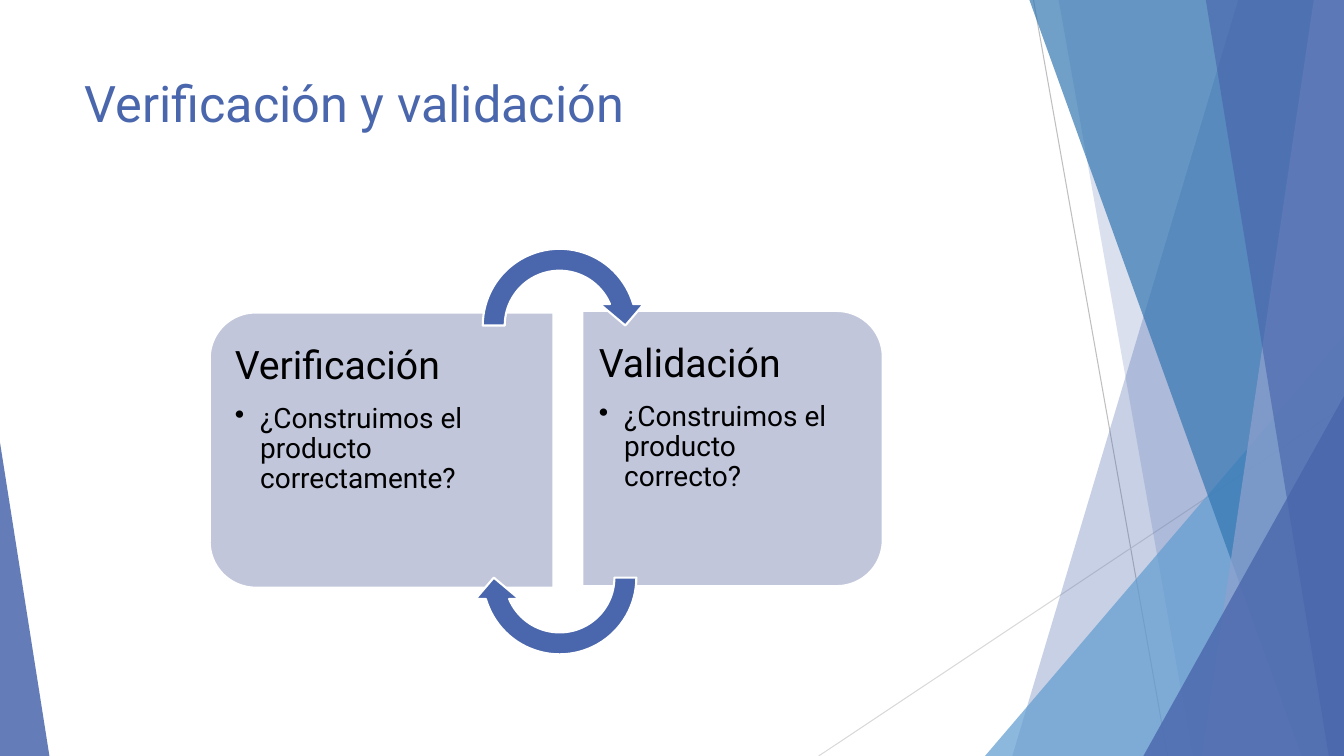
from lxml.etree import SubElement
from pptx import Presentation
from pptx.dml.color import RGBColor
from pptx.enum.shapes import MSO_CONNECTOR as Connector, MSO_SHAPE as Preset
from pptx.enum.text import MSO_ANCHOR as Anchor, PP_ALIGN as Align
from pptx.oxml.ns import qn
from pptx.util import Inches, Pt

COLORS = {
    "blue": "4A66AC",
    "sky": "629DD1",
    "deep": "3477B2",
    "pale": "90A2CF",
    "panel": "C1C6DB",
    "white": "FFFFFF",
    "black": "000000",
    "gray": "BFBFBF",
    "light_gray": "D9D9D9",
}
WIDTH, HEIGHT = 13.33, 7.5


def color(name):
    return RGBColor.from_string(COLORS[name])


def write_text(paragraph, text, font="Roboto", size=20, fill="black",
               line_spacing=None, space_after=0, bullet=False):
    paragraph.alignment = Align.LEFT
    paragraph.space_after = Pt(space_after)
    if line_spacing:
        paragraph.line_spacing = line_spacing
    run = paragraph.add_run()
    run.text = text
    run.font.name = font
    run.font.size = Pt(size)
    run.font.color.rgb = color(fill)
    if bullet:
        properties = paragraph._p.get_or_add_pPr()
        properties.set("marL", str(Inches(0.25)))
        properties.set("indent", str(Inches(-0.25)))
        SubElement(properties, qn("a:buChar")).set("char", "•")


class SlideBuilder:
    def __init__(self, slide):
        self.slide = slide
        self.shapes = slide.shapes

    def paint(self, shape, fill, opacity=100, outline=None):
        shape.shadow.inherit = False
        shape.fill.solid()
        shape.fill.fore_color.rgb = color(fill)
        if opacity < 100:
            rgb = shape._element.spPr.find(qn("a:solidFill"))[0]
            SubElement(rgb, qn("a:alpha")).set("val", str(opacity * 1000))
        if outline:
            shape.line.color.rgb = color(outline)
            shape.line.width = Pt(1.5)
        else:
            shape.line.fill.background()

    def line(self, start, end, stroke):
        connector = self.shapes.add_connector(
            Connector.STRAIGHT, *map(Inches, start + end))
        connector.line.color.rgb = color(stroke)
        connector.line.width = Pt(0.75)
        SubElement(connector._element.spPr, qn("a:effectLst"))

    def band(self, top_left, bottom_left, fill, opacity):
        corners = [(top_left, 0), (WIDTH, 0), (WIDTH, HEIGHT), (bottom_left, HEIGHT)]
        points = [(Inches(x), Inches(y)) for x, y in corners]
        builder = self.shapes.build_freeform(*points[0])
        builder.add_line_segments(points[1:], close=True)
        self.paint(builder.convert_to_shape(), fill, opacity)

    def preset(self, kind, box, adjustments, fill, opacity=100, outline=None, rotation=0):
        shape = self.shapes.add_shape(kind, *map(Inches, box))
        for index, value in enumerate(adjustments):
            shape.adjustments[index] = value
        shape.rotation = rotation
        self.paint(shape, fill, opacity, outline)

    def text_box(self, box, margins=(0.1, 0.05, 0.1, 0.05)):
        frame = self.shapes.add_textbox(*map(Inches, box)).text_frame
        frame.word_wrap = True
        frame.vertical_anchor = Anchor.TOP
        (frame.margin_left, frame.margin_top,
         frame.margin_right, frame.margin_bottom) = map(Inches, margins)
        return frame

    def panel(self, box, rotation, text_area, margins, heading, question):
        self.preset(Preset.ROUND_2_SAME_RECTANGLE, box, (0.167, 0), "panel",
                    outline="white", rotation=rotation)
        frame = self.text_box(text_area, margins)
        write_text(frame.paragraphs[0], heading, size=28,
                   line_spacing=0.9, space_after=11.5)
        write_text(frame.add_paragraph(), question,
                   line_spacing=0.9, space_after=3.5, bullet=True)

    def backdrop(self):
        self.line((10.25, 0), (11.58, HEIGHT), "gray")
        self.line((WIDTH, 4.03), (8.12, HEIGHT), "light_gray")
        self.band(12.28, 10.04, "blue", 30)
        self.band(10.5, 11.83, "blue", 20)
        self.preset(Preset.ISOSCELES_TRIANGLE, (9.77, 3.33, 3.56, 4.17), [1], "sky", 72)
        self.band(10.21, 12.91, "deep", 70)
        self.band(13.03, 11.92, "pale", 70)
        self.band(11.96, 13.18, "blue", 65)
        self.preset(Preset.ISOSCELES_TRIANGLE, (11.34, 3.93, 1.99, 3.57), [1], "blue", 80)
        self.preset(Preset.ISOSCELES_TRIANGLE, (0, 4.39, 0.49, 3.11), [0], "blue", 85)


def main():
    presentation = Presentation()
    presentation.slide_width = Inches(WIDTH)
    presentation.slide_height = Inches(HEIGHT)
    builder = SlideBuilder(presentation.slides.add_slide(presentation.slide_layouts[6]))

    builder.backdrop()
    title = builder.text_box((0.74, 0.67, 9.4, 1.44))
    write_text(title.paragraphs[0], "Verificación y validación", size=36, fill="blue")

    builder.panel((2.42, 2.76, 2.73, 3.41), 270, (2.21, 3.24, 3.28, 2.46),
                  (0.12, 0.19, 0.17, 0.19), "Verificación",
                  "¿Construimos el producto correctamente?")
    builder.panel((5.9, 2.96, 2.73, 2.98), 90, (5.77, 3.22, 2.85, 2.46),
                  (0.17, 0.19, 0.12, 0.19), "Validación",
                  "¿Construimos el producto correcto?")

    for top, rotation in ((2.36, 0), (4.86, 180)):
        builder.preset(Preset.CIRCULAR_ARROW, (4.68, top, 1.74, 1.74),
                       (0.125, 11.42, 204.58, 108, 0.125), "blue",
                       outline="white", rotation=rotation)

    presentation.save("out.pptx")


if __name__ == "__main__":
    main()
